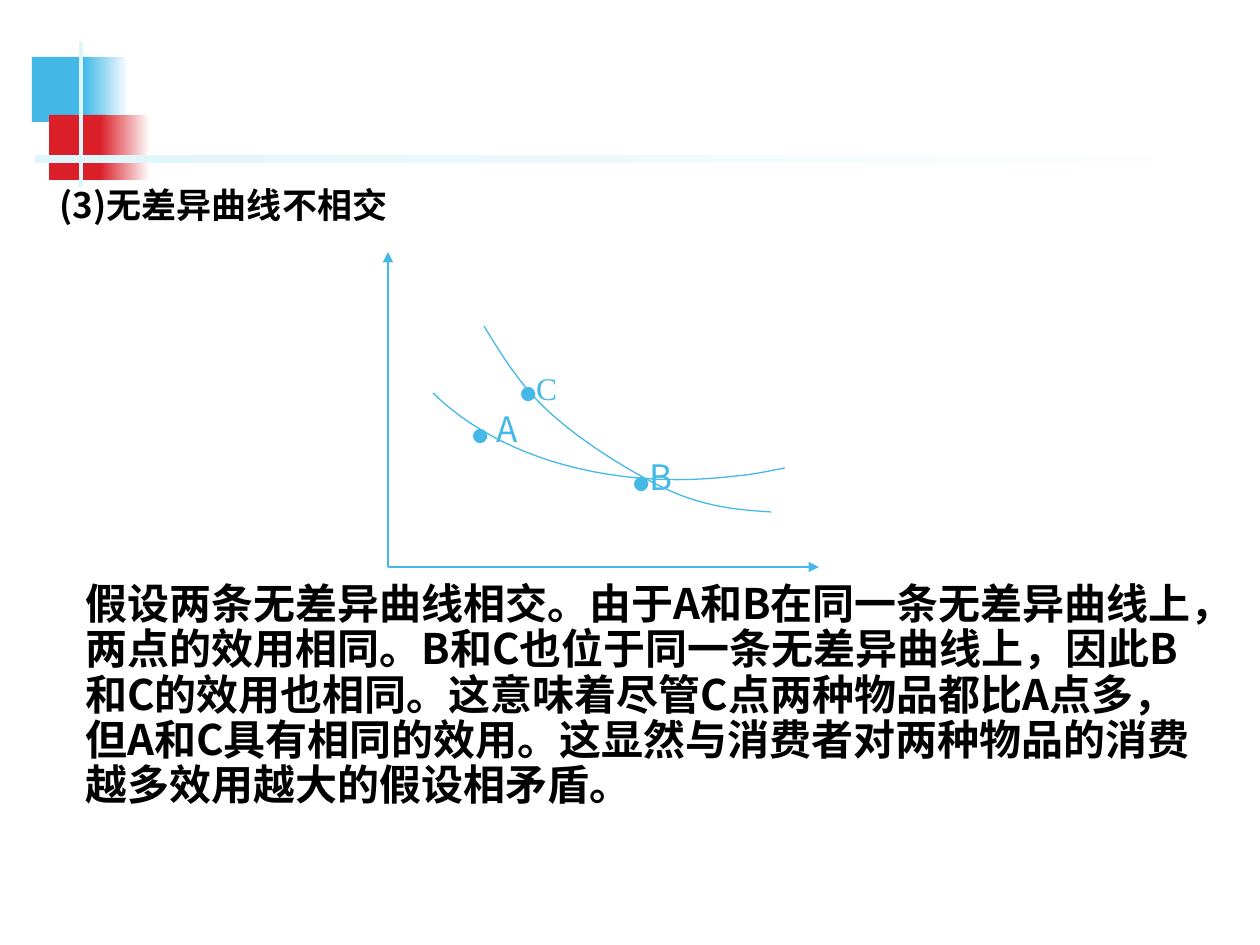
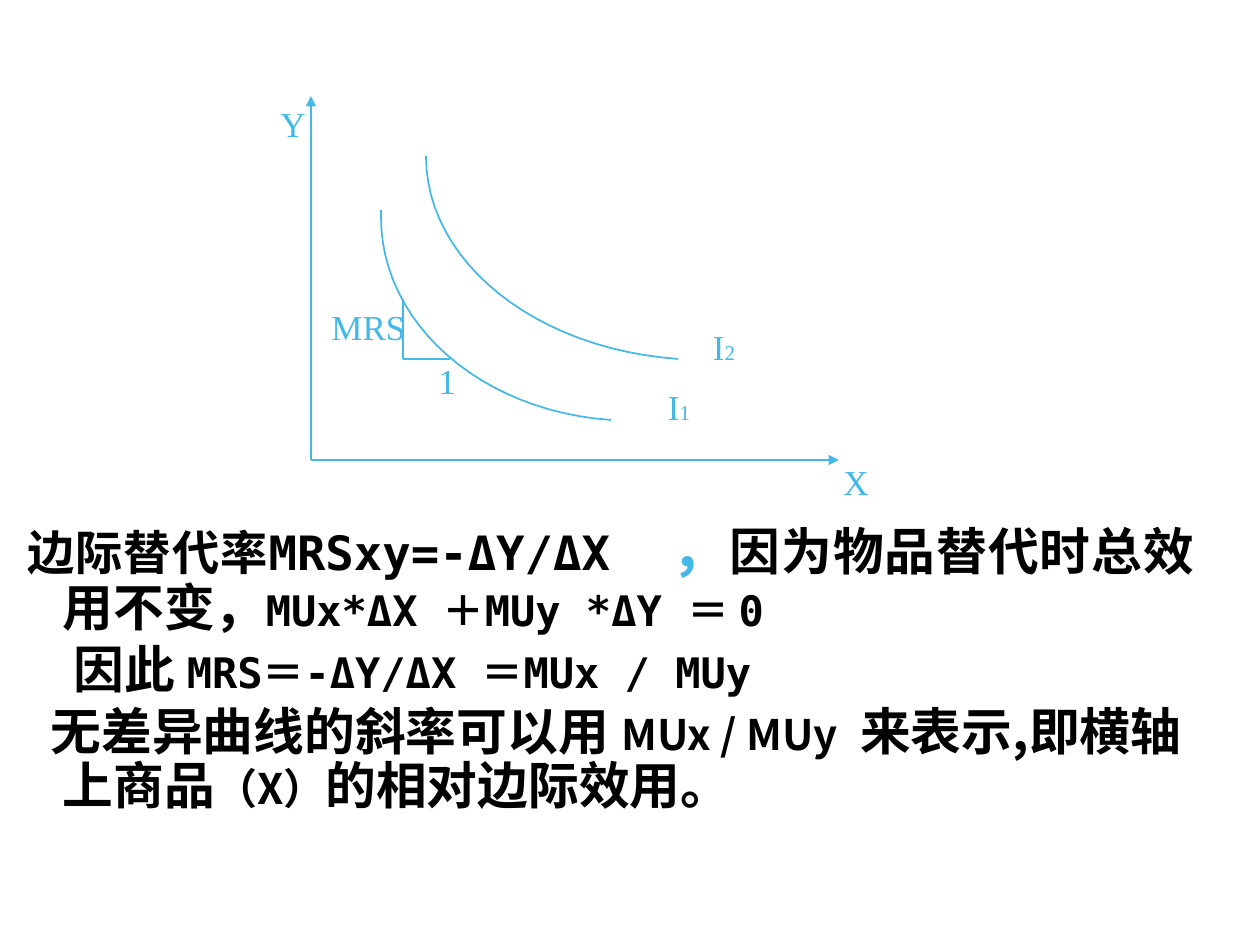
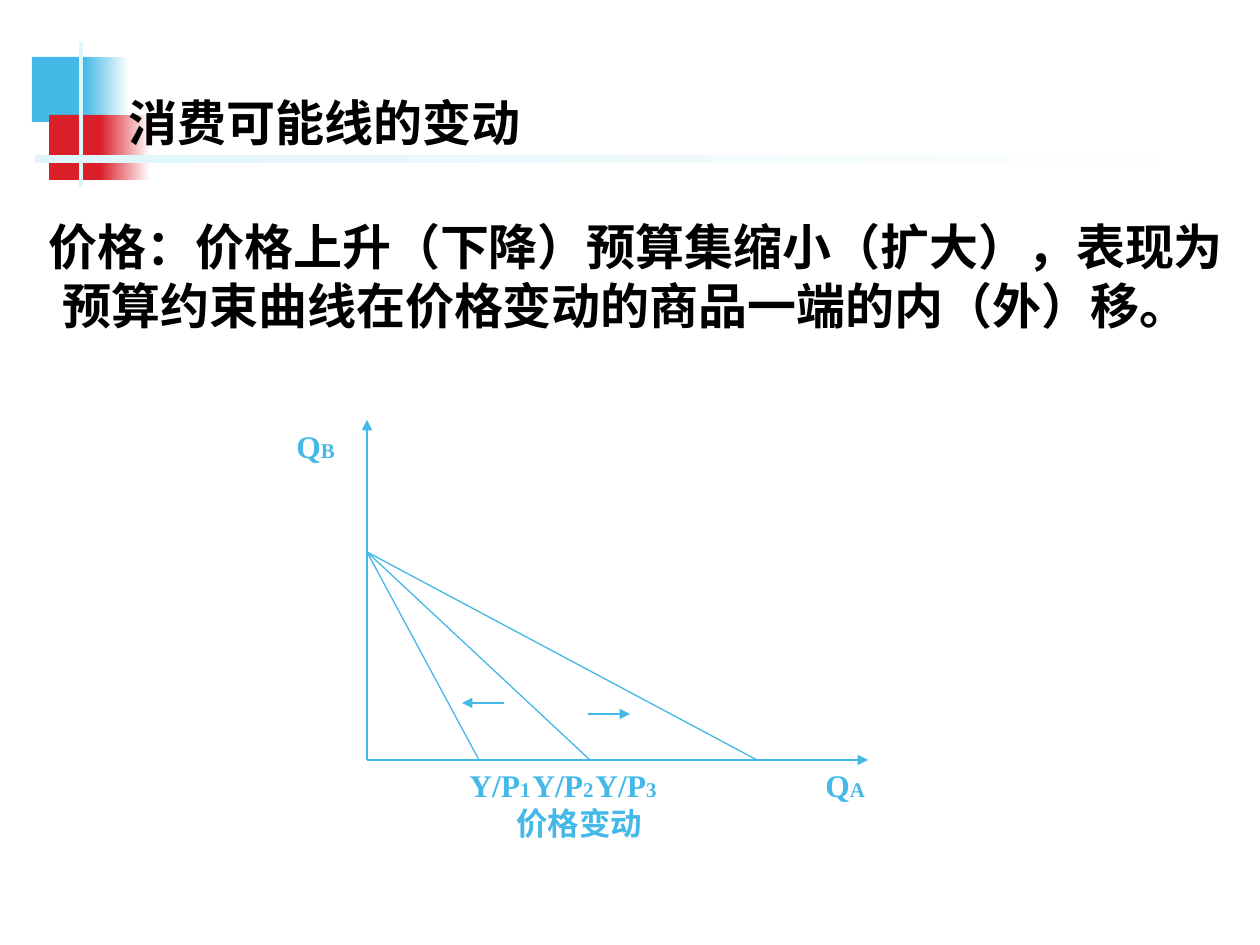
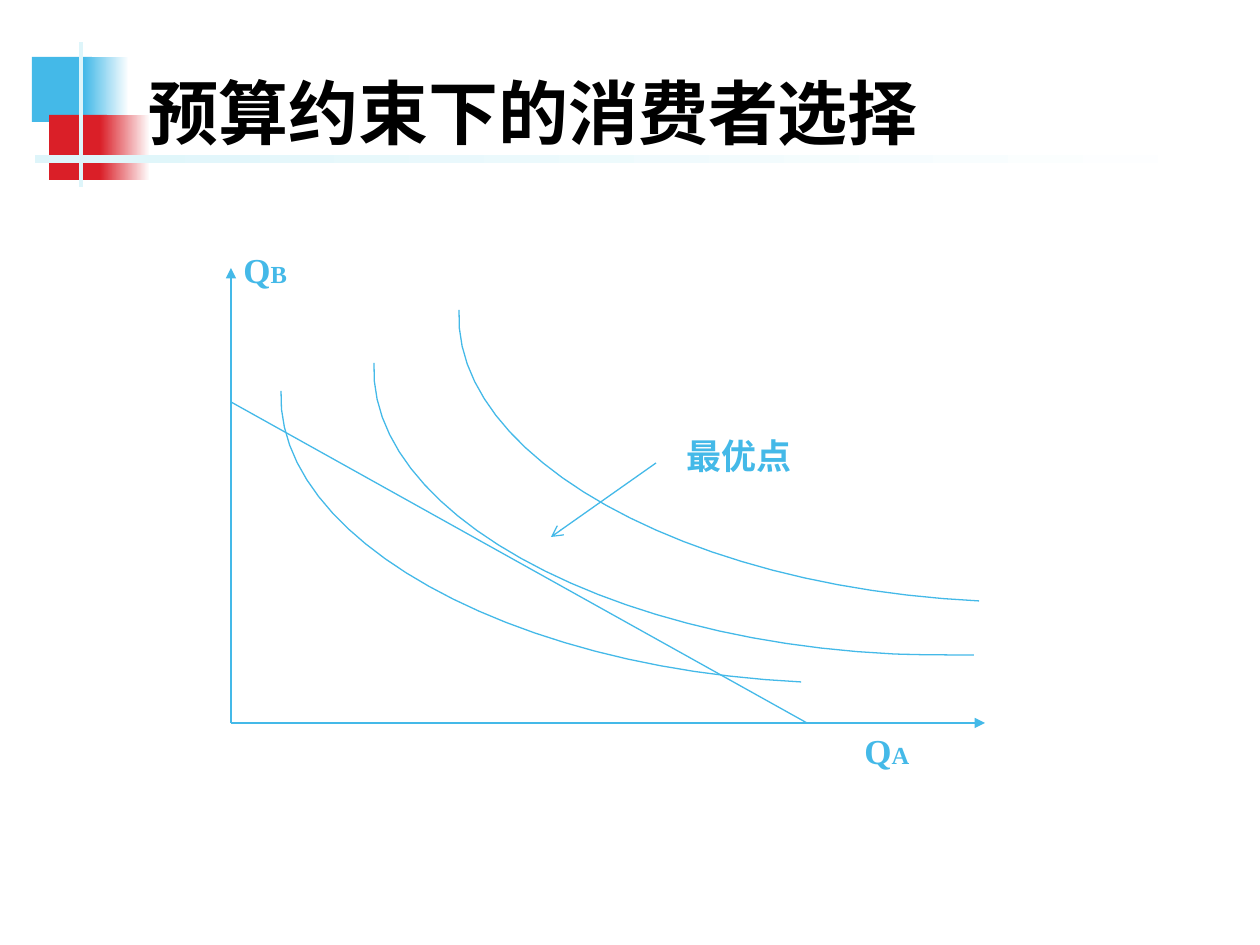
import dataclasses
import itertools

import lxml.etree
import pptx
import pptx.dml.color
import pptx.enum.shapes
import pptx.enum.text
import pptx.oxml.ns
import pptx.util

EMU_PER_PX = 914400 / 126
ALIGN = pptx.enum.text.PP_ALIGN
ANCHOR = pptx.enum.text.MSO_ANCHOR
AUTO_SIZE = pptx.enum.text.MSO_AUTO_SIZE


@dataclasses.dataclass(frozen=True)
class Theme:
    """Colours, fonts and type sizes shared by the slides."""
    ink: str = "000000"
    blue: str = "44B9E8"
    red: str = "DA1F28"
    pale: str = "DEF5FA"
    white: str = "FFFFFF"
    cjk: str = "Noto Sans CJK SC"
    serif: str = "Times New Roman"
    mono: str = "DejaVu Sans Mono"
    headline: int = 40
    heading: int = 28
    text: int = 24
    label: int = 20
    small_label: int = 18
    dot: int = 9
    subscript: int = 12
    thin: float = 0.75
    medium: float = 1


THEME = Theme()


@dataclasses.dataclass(frozen=True)
class Run:
    """A run of text with its look; gap is extra letter spacing in points."""
    text: str
    size: int
    color: str = THEME.ink
    font: str = THEME.cjk
    bold: bool = True
    gap: int = 0


@dataclasses.dataclass(frozen=True)
class Para:
    """A paragraph of runs; indents and tab stops are in px."""
    runs: list
    align: ALIGN = ALIGN.LEFT
    margin: int = 0
    indent: int = 0
    spacing: float = 1.0
    before: int = 0
    tabs: tuple = ()


def px(length):
    """Turn px into EMU."""
    return pptx.util.Emu(round(length * EMU_PER_PX))


def rgb(color):
    """Turn a hex string into a colour."""
    return pptx.dml.color.RGBColor.from_string(color)


def add_xml(parent, tag, **attributes):
    """Append a DrawingML element."""
    return lxml.etree.SubElement(parent, pptx.oxml.ns.qn(tag), attributes)


def add_run(p, run):
    """Add one formatted run to a paragraph."""
    r = p.add_run()
    r.text = run.text
    r.font.size = pptx.util.Pt(run.size)
    r.font.bold = run.bold
    r.font.color.rgb = rgb(run.color)
    r.font.name = run.font
    rpr = r._r.get_or_add_rPr()
    add_xml(rpr, "a:ea", typeface=THEME.cjk)
    if run.gap:
        rpr.set("spc", str(run.gap * 100))


def fill_paragraph(p, para):
    """Format a paragraph and add its runs."""
    ppr = p._p.get_or_add_pPr()
    ppr.set("marL", str(px(para.margin)))
    ppr.set("indent", str(px(para.indent)))
    add_xml(ppr, "a:buNone")
    if para.tabs:
        stops = add_xml(ppr, "a:tabLst")
        for stop in para.tabs:
            add_xml(stops, "a:tab", pos=str(px(stop)), algn="l")
    p.alignment = para.align
    p.line_spacing = para.spacing
    p.space_before = pptx.util.Pt(para.before)
    for run in para.runs:
        add_run(p, run)


def write_text(sp, paras, anchor=ANCHOR.TOP, auto_size=AUTO_SIZE.NONE):
    """Fill a text shape with paragraphs."""
    tf = sp.text_frame
    tf.word_wrap = True
    tf.auto_size = auto_size
    tf.vertical_anchor = anchor
    for i, para in enumerate(paras):
        fill_paragraph(tf.add_paragraph() if i else tf.paragraphs[0], para)
    return tf


def write_placeholder(sp, box, paras, **options):
    """Move a placeholder to a px box and fill it."""
    sp.left, sp.top, sp.width, sp.height = map(px, box)
    return write_text(sp, paras, **options)


def add_text(shapes, box, paras, **options):
    """Add a text box at a px box."""
    return write_text(shapes.add_textbox(*map(px, box)), paras, **options)


def add_label(shapes, box, *runs, align=ALIGN.JUSTIFY):
    """Add a one-paragraph diagram label."""
    add_text(shapes, box, [Para(list(runs), align=align)])


def serif(text, size, bold=False):
    """Make a blue serif run."""
    return Run(text, size, THEME.blue, THEME.serif, bold)


def add_line(shapes, start, end, width=THEME.thin, arrow=None):
    """Add a straight line, with an optional arrowhead at its end."""
    c = shapes.add_connector(pptx.enum.shapes.MSO_CONNECTOR.STRAIGHT, *map(px, start + end))
    c.line.color.rgb = rgb(THEME.blue)
    c.line.width = pptx.util.Pt(width)
    sppr = c.element.spPr
    if arrow:
        add_xml(sppr.find(pptx.oxml.ns.qn("a:ln")), "a:tailEnd", type=arrow)
    add_xml(sppr, "a:effectLst")


def add_axes(shapes, origin, right, top, width=THEME.thin):
    """Add a vertical and a horizontal axis from one origin."""
    x, y = origin
    add_line(shapes, origin, (x, top), width, "triangle")
    add_line(shapes, origin, (right, y), width, "triangle")


def bezier(points, steps=24):
    """Sample a chain of cubic segments given as start plus triples."""
    yield points[0]
    for i in range(0, len(points) - 1, 3):
        for step in range(1, steps + 1):
            t = step / steps
            weights = ((1 - t) ** 3, 3 * t * (1 - t) ** 2, 3 * t * t * (1 - t), t ** 3)
            yield tuple(sum(w * pt[axis] for w, pt in zip(weights, points[i:i + 4]))
                        for axis in (0, 1))


def add_curve(shapes, points, width=THEME.thin):
    """Add an open curve through cubic control points."""
    start, *rest = [(px(x), px(y)) for x, y in bezier(points)]
    builder = shapes.build_freeform(*start)
    builder.add_line_segments(rest, close=False)
    sp = builder.convert_to_shape()
    sp.shadow.inherit = False
    sp.fill.background()
    sp.line.color.rgb = rgb(THEME.blue)
    sp.line.width = pptx.util.Pt(width)


def add_block(shapes, box, color, fade=False):
    """Add a borderless rectangle, solid or fading to white."""
    sp = shapes.add_shape(pptx.enum.shapes.MSO_SHAPE.RECTANGLE, *map(px, box))
    sp.shadow.inherit = False
    sp.line.fill.background()
    if fade:
        sp.fill.gradient()
        sp.fill.gradient_angle = 0
        for stop, shade in zip(sp.fill.gradient_stops, (color, THEME.white)):
            stop.color.rgb = rgb(shade)
    else:
        sp.fill.solid()
        sp.fill.fore_color.rgb = rgb(color)


def add_emblem(s):
    """Add the blue and red header emblem behind everything else."""
    g = s.shapes.add_group_shape()
    add_block(g.shapes, (32, 57, 60, 65), THEME.blue)
    add_block(g.shapes, (84, 57, 45, 65), THEME.blue, fade=True)
    add_block(g.shapes, (49, 115, 58, 65), THEME.red)
    add_block(g.shapes, (100, 115, 50, 65), THEME.red, fade=True)
    add_block(g.shapes, (79, 42, 4, 145), THEME.pale)
    add_block(g.shapes, (35, 155, 1198, 8), THEME.pale, fade=True)
    s.shapes.element.insert(2, g.element)


def add_slide(prs, emblem=True):
    """Add a title and content slide, with or without the emblem."""
    s = prs.slides.add_slide(prs.slide_layouts[1])
    if emblem:
        add_emblem(s)
    return s


def drop_empty_placeholders(prs):
    """Remove every placeholder left without text."""
    for sp in itertools.chain.from_iterable(list(s.placeholders) for s in prs.slides):
        if not sp.text_frame.text:
            sp.element.getparent().remove(sp.element)


def crossing_curves_slide(prs):
    """Build the slide on why indifference curves do not cross."""
    s = add_slide(prs)
    write_placeholder(s.placeholders[1], (32, 189, 1176, 84), [
        Para([Run("(3)无差异曲线不相交", THEME.label)], margin=50, indent=-35, spacing=0.7)])
    diagram = s.shapes.add_group_shape().shapes
    add_axes(diagram, (388, 567), right=819, top=252)
    add_curve(diagram, [(484, 326), (504, 359), (524, 391), (556, 418), (588, 446),
                        (640, 478), (675, 493), (712, 508), (741, 510), (771, 512)])
    add_curve(diagram, [(785, 468), (769, 471), (752, 475), (736, 476),
                        (617, 491), (501, 460), (433, 393)])
    dot = Run("●", THEME.dot, THEME.blue, bold=False)
    add_label(diagram, (508, 363, 96, 55), dot, serif("C", THEME.small_label))
    for box, name in (((460, 401, 96, 55), " A"), ((621, 449, 96, 74), "B")):
        add_label(diagram, box, dot, Run(name, THEME.label, THEME.blue, bold=False))
    add_text(s.shapes, (73, 577, 1155, 316), [Para([Run(
        "假设两条无差异曲线相交。由于A和B在同一条无差异曲线上，两点的效用相同。"
        "B和C也位于同一条无差异曲线上，因此B和C的效用也相同。"
        "这意味着尽管C点两种物品都比A点多，但A和C具有相同的效用。"
        "这显然与消费者对两种物品的消费越多效用越大的假设相矛盾。", THEME.text)], spacing=0.9)],
        auto_size=AUTO_SIZE.SHAPE_TO_FIT_TEXT)


def substitution_rate_slide(prs):
    """Build the slide on the marginal rate of substitution."""
    s = add_slide(prs, emblem=False)
    large, formula = 29, THEME.text
    write_placeholder(s.placeholders[1], (0, 514, 1207, 347), [
        Para([Run("边际替代率", 27),
              Run("MRSxy=-ΔY/ΔX", 27, font=THEME.mono),
              Run(" ", 28, THEME.blue, THEME.mono, gap=17),
              Run("，", 33, THEME.blue, THEME.mono),
              Run("因为物品替代时总效用不变，", large, font=THEME.mono),
              Run("MUx*ΔX ＋MUy *ΔY ＝ 0", formula, font=THEME.mono)],
             ALIGN.JUSTIFY, margin=50, indent=-35, spacing=0.9),
        Para([Run("因此", large, font=THEME.mono),
              Run(" ", large, font=THEME.mono),
              Run("MRS＝-ΔY/ΔX ＝MUx / MUy", formula, font=THEME.mono)],
             ALIGN.JUSTIFY, margin=61, spacing=0.9, before=4),
        Para([Run("无差异曲线的斜率可以用 ", large),
              Run("MUx / MUy", formula),
              Run(" ", large, gap=6),
              Run("来表示,即横轴上商品", large),
              Run("（X）", formula),
              Run("的相对边际效用。", large)],
             margin=50, indent=-12, spacing=0.9, before=4)])
    diagram = s.shapes.add_group_shape().shapes
    add_axes(diagram, (311, 460), right=839, top=96, width=THEME.medium)
    add_line(diagram, (403, 299), (403, 359), THEME.medium)
    add_line(diagram, (403, 359), (450, 359), THEME.medium)
    add_curve(diagram, [(678, 359), (536, 349), (426, 262), (426, 156)], THEME.medium)
    add_curve(diagram, [(611, 420), (480, 411), (381, 323), (381, 217),
                        (381, 214), (381, 213), (381, 210)], THEME.medium)
    labels = [("1", "", 401, 353, 92), ("Y", "", 243, 96, 100), ("I", "1", 633, 379, 92),
              ("I", "2", 678, 319, 92), ("X", "", 810, 454, 92), ("MRS", "", 311, 299, 115)]
    for name, index, left, top, width in labels:
        runs = [serif(name, THEME.label)]
        if index:
            runs.append(serif(index, THEME.subscript))
        add_label(diagram, (left, top, width, 81), *runs, align=ALIGN.CENTER)


def price_change_slide(prs):
    """Build the slide on how price changes turn the budget line."""
    s = add_slide(prs)
    tf = write_placeholder(s.shapes.title, (116, 32, 1071, 158), [
        Para([Run("消费可能线", THEME.heading, font=THEME.serif),
              Run("的变动", THEME.heading)])], anchor=ANCHOR.MIDDLE)
    tf.margin_top = px(28)
    write_placeholder(s.placeholders[1], (0, 210, 1260, 158), [Para([Run(
        "价格：价格上升（下降）预算集缩小（扩大），表现为"
        "预算约束曲线在价格变动的商品一端的内（外）移。", THEME.heading)],
        margin=50, indent=-14)])
    diagram = s.shapes.add_group_shape().shapes
    add_axes(diagram, (367, 760), right=868, top=420)
    for intercept in (479, 590, 757):
        add_line(diagram, (367, 552), (intercept, 760))
    add_line(diagram, (504, 703), (462, 703), arrow="triangle")
    add_line(diagram, (588, 714), (630, 714), arrow="triangle")
    for name, left, top in (("B", 284, 421), ("A", 813, 760)):
        add_label(diagram, (left, top, 111, 76), serif("Q", THEME.small_label, True),
                  serif(name, THEME.subscript, True))
    intercepts = [run for index in "123" for run in
                  (serif("\tY/P", THEME.small_label, True), serif(index, THEME.subscript, True))]
    add_text(diagram, (394, 760, 389, 113), [
        Para(intercepts, tabs=(38, 154, 293)),
        Para([serif("价格变动", THEME.small_label, True)], margin=110)])


def best_choice_slide(prs):
    """Build the slide on the best choice under a budget."""
    s = add_slide(prs)
    write_placeholder(s.shapes.title, (136, 63, 955, 97), [
        Para([Run("预算约束下的消费者选择", THEME.headline, font=THEME.serif)], ALIGN.JUSTIFY)],
        auto_size=AUTO_SIZE.SHAPE_TO_FIT_TEXT)
    add_axes(s.shapes, (231, 723), right=985, top=268)
    add_curve(s.shapes, [(801, 682), (508, 668), (275, 538), (281, 391)])
    add_curve(s.shapes, [(974, 655), (948, 655), (921, 655), (893, 654),
                         (600, 640), (367, 510), (374, 363)])
    add_curve(s.shapes, [(979, 601), (685, 587), (452, 457), (459, 310)])
    add_line(s.shapes, (231, 402), (807, 723))
    for name, left, top in (("B", 231, 242), ("A", 852, 723)):
        add_label(s.shapes, (left, top, 178, 107), serif("Q", THEME.label, True),
                  serif(name, 14, True))
    callout = s.shapes.add_group_shape().shapes
    add_label(callout, (674, 428, 266, 81), serif("最优点", THEME.label, True))
    add_line(callout, (656, 463), (551, 537), arrow="arrow")


def main():
    """Build the four slides and save them."""
    prs = pptx.Presentation()
    prs.slide_width, prs.slide_height = px(1260), px(945)
    crossing_curves_slide(prs)
    substitution_rate_slide(prs)
    price_change_slide(prs)
    best_choice_slide(prs)
    drop_empty_placeholders(prs)
    prs.save("out.pptx")


if __name__ == "__main__":
    main()
